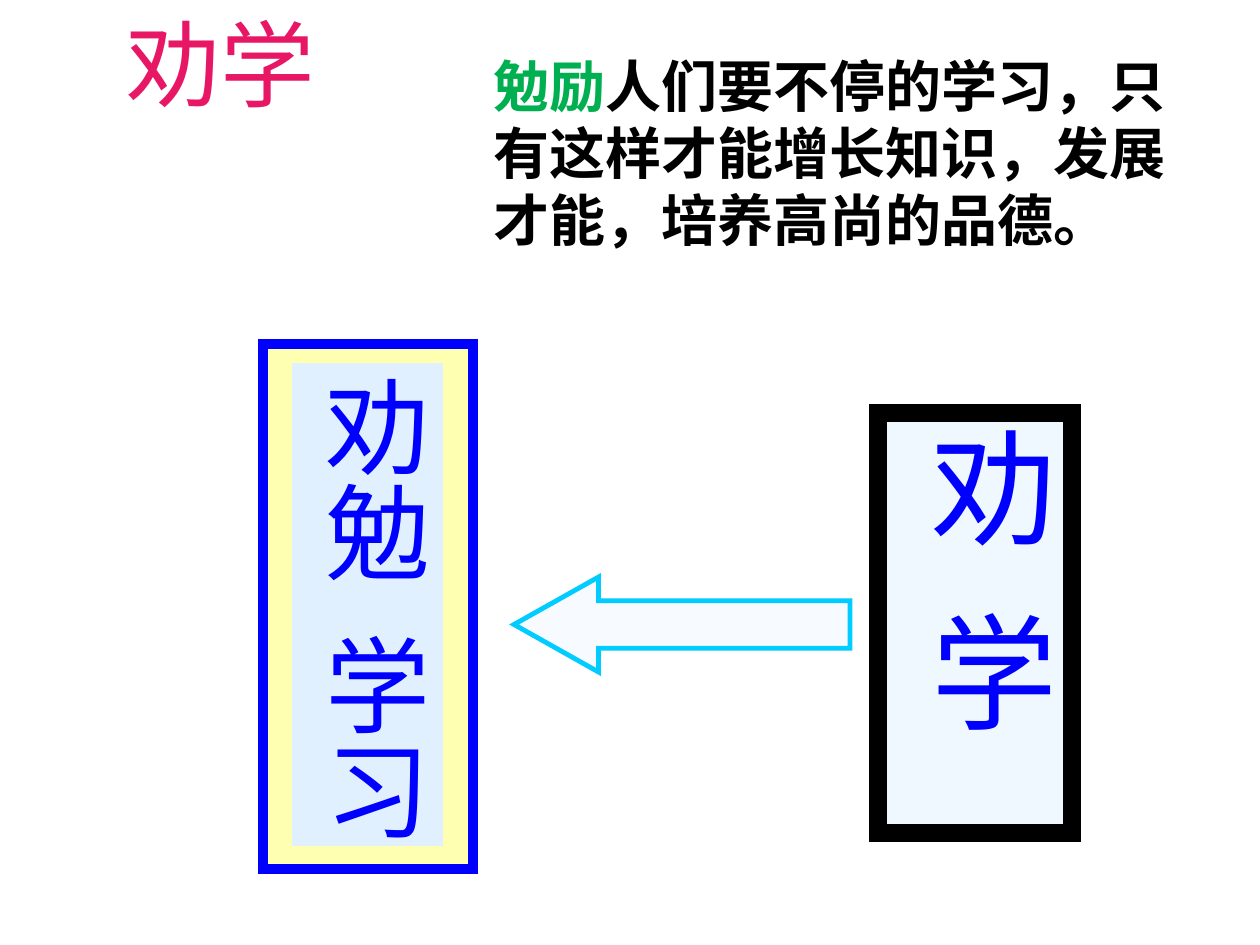
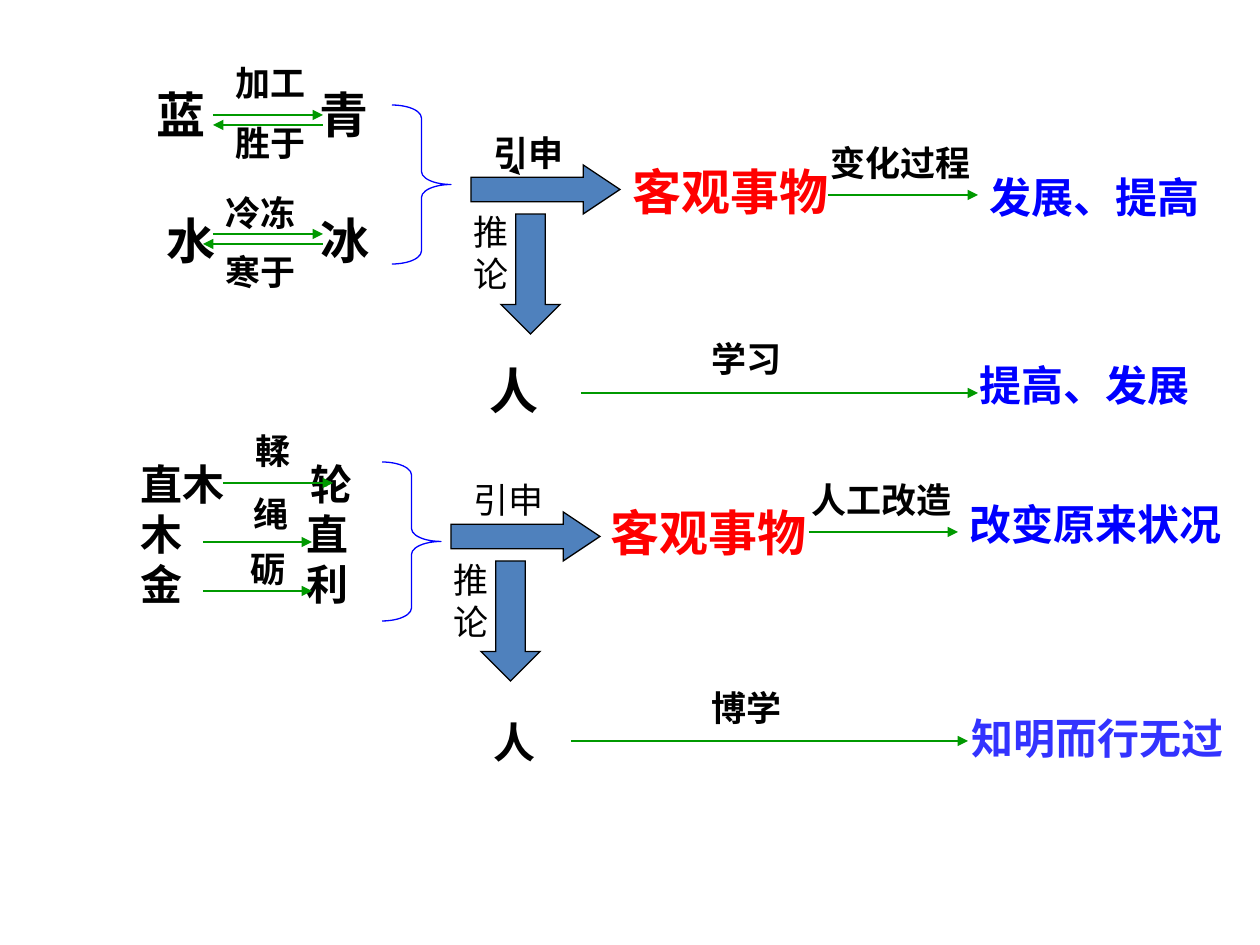
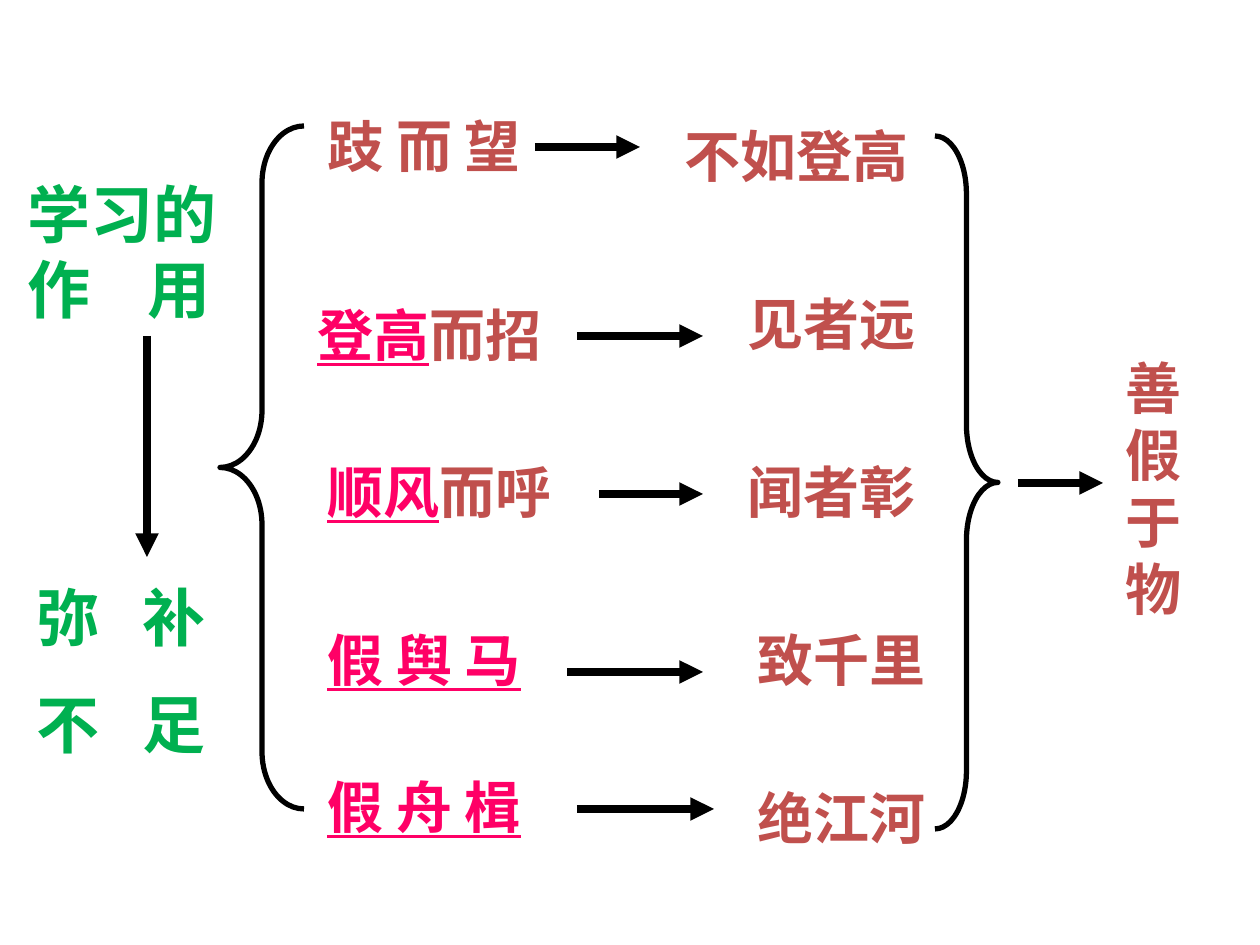
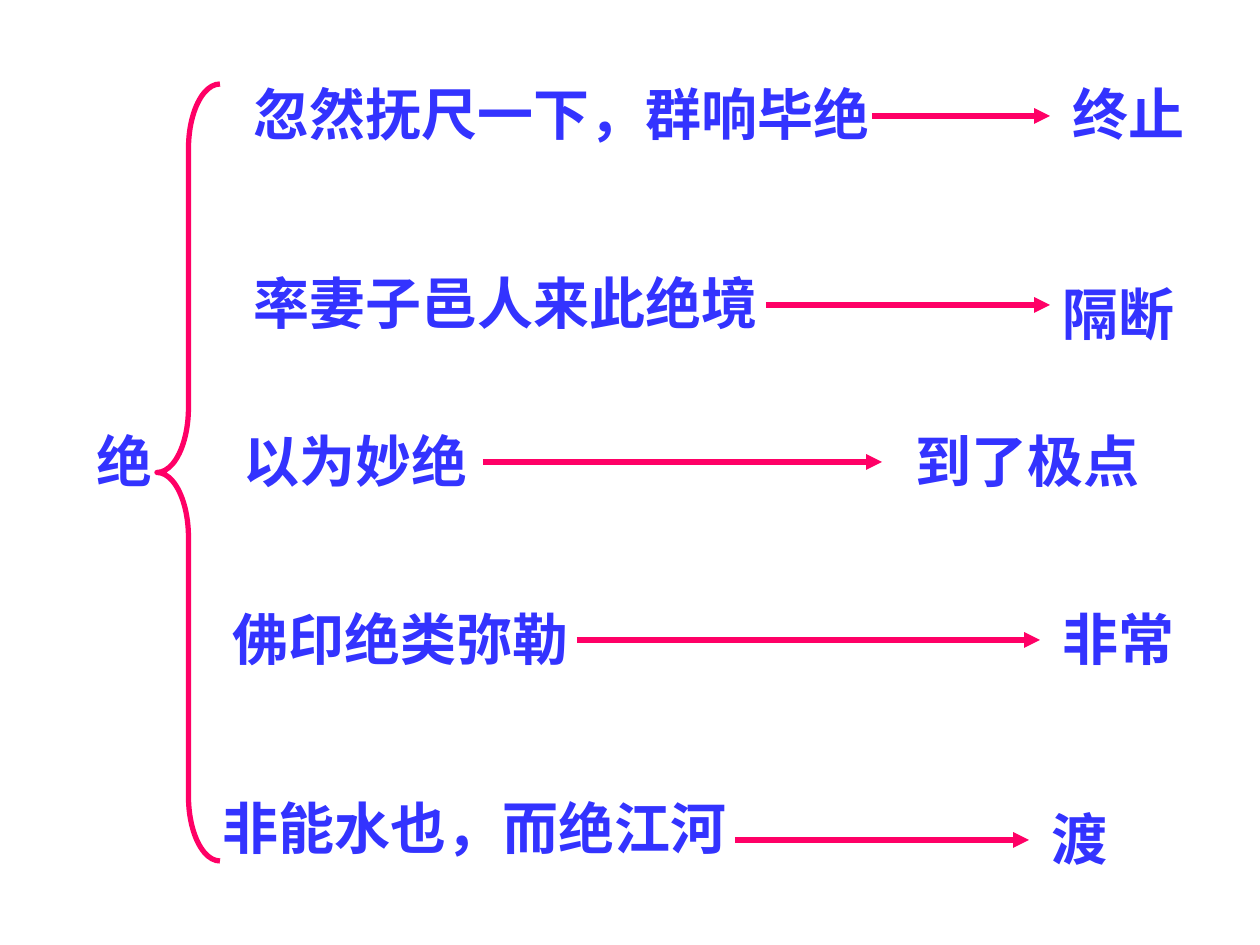
import pptx
import pptx.util
import pptx.dml.color
import pptx.enum.shapes
import pptx.enum.text
import pptx.oxml
import pptx.oxml.ns

PX = 914400 / 126
FACE = "Times New Roman"
HUES = {
    "black": "000000", "blue": "0000FF", "violet": "3333FF", "red": "FF0000",
    "green": "00B050", "leaf": "009900", "brick": "C0504D", "pink": "FF0066",
    "rose": "E81766", "cyan": "00CCFF", "steel": "4F81BD", "yellow": "FFFF66",
    "ice": "E1F0FF", "snow": "F7FBFF",
}
RGB = {name: pptx.dml.color.RGBColor.from_string(code) for name, code in HUES.items()}
KIND = pptx.enum.shapes.MSO_SHAPE
TOP = pptx.enum.text.MSO_ANCHOR.TOP
qn = pptx.oxml.ns.qn


def write(shape, words, size, hue, bold=True, tail="", tint="black", line=False, tab=0, gap=0):
    """Fill a shape with styled words; tail is a second run in the colour tint."""
    frame = shape.text_frame
    frame.word_wrap = True
    frame.auto_size = pptx.enum.text.MSO_AUTO_SIZE.NONE
    frame.vertical_anchor = TOP
    frame.text = words
    if tail:
        frame.paragraphs[0].add_run().text = tail
    for row, para in enumerate(frame.paragraphs):
        para.alignment = pptx.enum.text.PP_ALIGN.LEFT
        if gap and row:
            para.space_before = pptx.util.Pt(gap)
        if tab:
            stops = para._p.get_or_add_pPr().makeelement(qn("a:tabLst"), {})
            para._p.pPr.append(stops)
            stops.append(stops.makeelement(qn("a:tab"), {"pos": str(round(tab * PX)), "algn": "l"}))
        for part, run in enumerate(para.runs):
            run.font.name = FACE
            run.font.size = pptx.util.Pt(size)
            run.font.bold = bold
            run.font.underline = line and part == 0
            run.font.color.rgb = RGB[tint if part else hue]


deck = pptx.Presentation()
deck.slide_width = round(1260 * PX)
deck.slide_height = round(945 * PX)
topic = deck.slides.add_slide(deck.slide_layouts[5])
logic, use, sense = [deck.slides.add_slide(deck.slide_layouts[6]) for _ in range(3)]

# Shapes: slide, kind, box, fill, opacity, line, line width, adjustments
shapes = [
    (topic, KIND.RECTANGLE, (263, 344, 210, 525), "yellow", 50, "blue", 6, ()),
    (topic, KIND.RECTANGLE, (292, 363, 151, 483), "ice", 100, None, 0, ()),
    (topic, KIND.RECTANGLE, (878, 413, 194, 420), "ice", 50, "black", 10, ()),
    (topic, KIND.LEFT_ARROW, (514, 577, 336, 95), "snow", 100, "cyan", 2.75, (0.5, 0.89)),
    (use, KIND.LEFT_BRACE, (220, 126, 84, 683), None, 0, "black", 3, (0.68, 0.5)),
    (use, KIND.RIGHT_BRACE, (935, 136, 63, 693), None, 0, "black", 3, (0.92, 0.5)),
    (sense, KIND.LEFT_BRACE, (157, 84, 63, 777), None, 0, "pink", 3, (1.03, 0.5)),
]
for brace, x, y in (((392, 105), 471, 165), ((382, 462), 451, 512)):
    shapes += [
        (logic, KIND.RIGHT_BRACE, (*brace, 59, 159), None, 0, "blue", 0.75, (0.22, 0.5)),
        (logic, KIND.RIGHT_ARROW, (x, y, 149, 49), "steel", 100, "black", 0.75, (0.5, 0.75)),
        (logic, KIND.DOWN_ARROW, (x + 30, y + 49, 59, 120), "steel", 100, "black", 0.75, (0.5, 0.5)),
    ]
drawn = []
for slide, kind, box, fill, alpha, edge, width, knobs in shapes:
    shape = slide.shapes.add_shape(kind, *[round(n * PX) for n in box])
    shape.shadow.inherit = False
    for spot, knob in enumerate(knobs):
        shape.adjustments[spot] = knob
    if fill:
        shape.fill.solid()
        shape.fill.fore_color.rgb = RGB[fill]
        if alpha < 100:
            tone = shape._element.spPr.find(qn("a:solidFill"))[0]
            tone.append(tone.makeelement(qn("a:alpha"), {"val": str(alpha * 1000)}))
    else:
        shape.fill.background()
    if edge:
        shape.line.color.rgb = RGB[edge]
        shape.line.width = pptx.util.Pt(width)
        if fill:
            stroke = shape.line._get_or_add_ln()
            stroke.append(stroke.makeelement(qn("a:miter"), {"lim": "800000"}))
    else:
        shape.line.fill.background()
    drawn.append(shape)

# Slide 1: the title word explained
title = topic.shapes.title
title.left, title.top, title.width, title.height = [round(n * PX) for n in (32, 0, 377, 214)]
write(title, "劝学", 54, "rose", bold=False)
title.text_frame.paragraphs[0].alignment = pptx.enum.text.PP_ALIGN.CENTER
title.text_frame.paragraphs[0].runs[0].font.name = "Noto Sans CJK SC"

study = topic.shapes.add_textbox(*[round(n * PX) for n in (292, 621, 151, 235)])
for shape, words, size, tab in ((drawn[1], "劝勉", 60, 0), (study, "学习", 60, 0),
                                (drawn[2], "劝\t学", 72, 184)):
    write(shape, words, size, "blue", bold=False, tab=tab)
    shape.text_frame._txBody.bodyPr.set("vert", "eaVert")
drawn[2].text_frame.paragraphs[0].runs[0].font.name = "Noto Sans CJK JP"

# Text boxes: slide, box, words, size, colour, further styles
notes = [
    (topic, (481, 45, 719, 217), "勉励", 32, "green",
     {"tail": "人们要不停的学习，只有这样才能增长知识，发展才能，培养高尚的品德。"}),
    (use, (15, 169, 231, 165), "学习的\n作\t用", 36, "green", {"tab": 120}),
    (use, (24, 572, 294, 204), "弥\t补\n不\t足", 36, "green", {"tab": 106, "gap": 18}),
    (use, (1113, 347, 105, 281), "善假于物", 32, "brick", {}),
    (sense, (84, 420, 95, 79), "绝", 32, "violet", {}),
]
# Arrows: slide, ends, colour, width
links = [
    (logic, (519, 174, 520, 175), "black", 0.75),
    (use, (147, 336, 147, 557), "black", 4.5),
    (use, (1018, 483, 1103, 483), "black", 4.5),
]

# Slide 2: from things to people
for words, x, y, width, size, hue in (
    ("蓝", 144, 78, 80, 28, "black"), ("青", 307, 78, 80, 28, "black"),
    ("水", 154, 204, 80, 28, "black"), ("冰", 308, 204, 80, 28, "black"),
    ("人", 477, 354, 80, 28, "black"), ("人", 481, 710, 80, 24, "black"),
    ("直木\n木\n金", 128, 452, 120, 24, "black"), ("轮", 298, 452, 80, 24, "black"),
    ("直\n利", 294, 502, 80, 24, "black"),
    ("客观事物", 620, 155, 319, 28, "red"), ("客观事物", 598, 496, 224, 28, "red"),
    ("发展、提高", 977, 165, 270, 24, "blue"), ("提高、发展", 967, 353, 270, 24, "blue"),
    ("改变原来状况", 957, 492, 300, 24, "blue"), ("知明而行无过", 959, 706, 300, 24, "violet"),
    ("加工", 223, 55, 110, 20, "black"), ("胜于", 223, 115, 110, 20, "black"),
    ("冷冻", 213, 185, 110, 20, "black"), ("寒于", 213, 244, 110, 20, "black"),
    ("輮", 243, 423, 61, 20, "black"), ("绳", 241, 486, 61, 20, "black"),
    ("砺", 238, 541, 61, 20, "black"), ("引申", 481, 125, 97, 20, "black"),
    ("变化过程", 818, 135, 175, 20, "black"), ("学习", 699, 331, 97, 20, "black"),
    ("人工改造", 799, 472, 175, 20, "black"), ("博学", 699, 680, 97, 20, "black"),
):
    notes.append((logic, (x, y, width, 60), words, size, hue, {}))
for words, x, y, width in (("推\n论", 461, 204, 69), ("引申", 461, 472, 97), ("推\n论", 441, 552, 69)):
    notes.append((logic, (x, y, width, 97), words, 20, "black", {"bold": False}))
for ends in ((213, 115, 323, 115), (323, 125, 213, 125), (323, 244, 203, 244),
             (213, 234, 323, 234), (828, 195, 978, 195), (581, 393, 978, 393),
             (223, 483, 333, 483), (203, 542, 312, 542), (203, 591, 312, 591),
             (809, 532, 958, 532), (571, 741, 968, 741)):
    links.append((logic, ends, "leaf", 0.75))

# Slide 3: means and results
for x, y, words, hue, tail, start, end, level, result, left, top in (
    (315, 105, "跂 而 望", "brick", "", 535, 640, 147, "不如登高", 672, 115),
    (305, 294, "登高", "pink", "而招", 577, 703, 336, "见者远", 735, 283),
    (315, 451, "顺风", "pink", "而呼", 599, 703, 494, "闻者彰", 735, 451),
    (315, 619, "假 舆 马", "pink", "", 567, 703, 672, "致千里", 745, 619),
    (315, 766, "假 舟 楫", "pink", "", 577, 714, 809, "绝江河", 745, 777),
):
    style = {"tail": tail, "tint": "brick", "line": hue == "pink"}
    notes.append((use, (x, y, 320, 79), words, 32, hue, style))
    notes.append((use, (left, top, 260, 79), result, 32, "brick", {}))
    links.append((use, (start, level, end, level), "black", 4.5))

# Slide 4: meanings of one word
for x, y, words, start, end, level, result, left, top in (
    (241, 73, "忽然抚尺一下，群响毕绝", 872, 1050, 116, "终止", 1060, 73),
    (241, 262, "率妻子邑人来此绝境", 766, 1050, 305, "隔断", 1050, 273),
    (231, 420, "以为妙绝", 483, 882, 462, "到了极点", 903, 420),
    (220, 598, "佛印绝类弥勒", 577, 1040, 640, "非常", 1050, 598),
    (210, 787, "非能水也，而绝江河", 735, 1029, 840, "渡", 1039, 798),
):
    notes.append((sense, (x, y, 651, 79), words, 32, "violet", {}))
    notes.append((sense, (left, top, 325 if len(result) > 2 else 179, 79), result, 32, "violet", {}))
    links.append((sense, (start, level, end, level), "pink", 3))

for slide, box, words, size, hue, style in notes:
    note = slide.shapes.add_textbox(*[round(n * PX) for n in box])
    write(note, words, size, hue, **style)

for slide, ends, hue, width in links:
    link = slide.shapes.add_connector(
        pptx.enum.shapes.MSO_CONNECTOR.STRAIGHT, *[round(n * PX) for n in ends])
    link.line.color.rgb = RGB[hue]
    link.line.width = pptx.util.Pt(width)
    stroke = link.line._get_or_add_ln()
    stroke.append(stroke.makeelement(qn("a:tailEnd"), {"type": "triangle"}))
    props = link._element.spPr
    props.append(props.makeelement(qn("a:effectLst"), {}))

deck.save("out.pptx")
